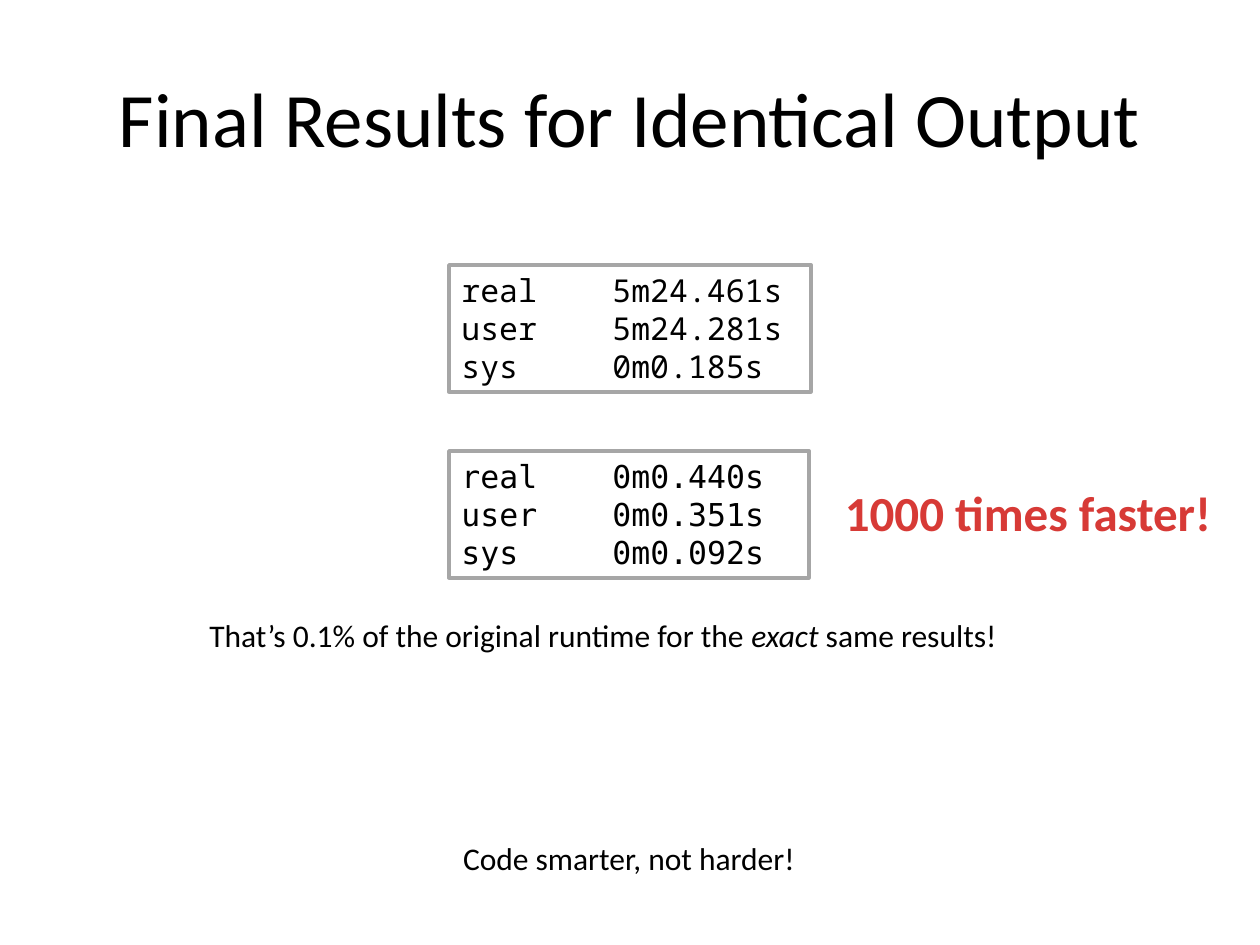
import lxml.etree
import pptx
import pptx.dml.color
import pptx.enum.shapes
import pptx.enum.text
import pptx.oxml.ns
import pptx.util

EMU_PER_PX = 914400 // 126
BODY_FONT = "Calibri"
BLACK, WHITE, GRAY, RED = "000000", "FFFFFF", "A6A6A6", "D73A36"
ALIGN = pptx.enum.text.PP_ALIGN


def px(length):
    return pptx.util.Emu(length * EMU_PER_PX)


def color(hex_string):
    return pptx.dml.color.RGBColor.from_string(hex_string)


def add_text(paragraph, text, font=BODY_FONT, size=18, fill=BLACK, bold=False, italic=False):
    run = paragraph.add_run()
    run.text = text
    run.font.name = font
    run.font.size = pptx.util.Pt(size)
    run.font.bold = bold
    run.font.italic = italic
    run.font.color.rgb = color(fill)


def add_tab_stop(paragraph, position):
    properties = paragraph._p.get_or_add_pPr()
    tab_list = lxml.etree.SubElement(properties, pptx.oxml.ns.qn("a:tabLst"))
    lxml.etree.SubElement(tab_list, pptx.oxml.ns.qn("a:tab"), pos=str(px(position)), algn="l")


class ResultsSlide:
    """Holds the slide and the style shared by its elements."""

    line_color = GRAY
    line_width = pptx.util.Pt(2)
    value_column = 151

    def __init__(self, presentation):
        self.slide = presentation.slides.add_slide(presentation.slide_layouts[5])

    def title(self, text, left, top, width, height):
        shape = self.slide.shapes.title
        shape.left, shape.top, shape.width, shape.height = map(px, (left, top, width, height))
        frame = shape.text_frame
        frame.vertical_anchor = pptx.enum.text.MSO_ANCHOR.MIDDLE
        paragraph = frame.paragraphs[0]
        paragraph.alignment = ALIGN.CENTER
        add_text(paragraph, text, size=44)

    def timing_box(self, timings, font, left, top, width, height):
        shape = self.slide.shapes.add_shape(
            pptx.enum.shapes.MSO_SHAPE.RECTANGLE, *map(px, (left, top, width, height)))
        shape.shadow.inherit = False
        shape.fill.solid()
        shape.fill.fore_color.rgb = color(WHITE)
        shape.line.color.rgb = color(self.line_color)
        shape.line.width = self.line_width
        frame = shape.text_frame
        frame.word_wrap = True
        frame.auto_size = pptx.enum.text.MSO_AUTO_SIZE.SHAPE_TO_FIT_TEXT
        frame.vertical_anchor = pptx.enum.text.MSO_ANCHOR.TOP
        for index, (label, value) in enumerate(timings):
            paragraph = frame.add_paragraph() if index else frame.paragraphs[0]
            paragraph.alignment = ALIGN.LEFT
            add_tab_stop(paragraph, self.value_column)
            add_text(paragraph, f"{label}\t{value}", font=font)

    def caption(self, pieces, left, top, width, height, wrap=False):
        """Add one centred line made of (text, format) pieces."""
        box = self.slide.shapes.add_textbox(*map(px, (left, top, width, height)))
        frame = box.text_frame
        frame.word_wrap = wrap
        frame.auto_size = pptx.enum.text.MSO_AUTO_SIZE.SHAPE_TO_FIT_TEXT
        paragraph = frame.paragraphs[0]
        paragraph.alignment = ALIGN.CENTER
        for text, text_format in pieces:
            add_text(paragraph, text, **text_format)


def main():
    presentation = pptx.Presentation()
    presentation.slide_width = pptx.util.Inches(10)
    presentation.slide_height = pptx.util.Inches(7.5)

    results = ResultsSlide(presentation)
    results.title("Final Results for Identical Output", 63, 38, 1134, 157)

    before = [("real", "5m24.461s"), ("user", "5m24.281s"), ("sys", "0m0.185s")]
    after = [("real", "0m0.440s"), ("user", "0m0.351s"), ("sys", "0m0.092s")]
    results.timing_box(before, "Noto Sans Mono", 449, 265, 362, 127)
    results.timing_box(after, "DejaVu Sans Mono", 449, 451, 360, 127)

    results.caption([("1000 times faster!", {"size": 28, "fill": RED, "bold": True})],
                    824, 476, 408, 72, wrap=True)
    results.caption([("That’s 0.1% of the original runtime for the ", {}),
                     ("exact", {"italic": True}),
                     (" same results!", {})], 191, 610, 824, 51)
    results.caption([("Code smarter, not harder!", {})], 447, 833, 364, 51)

    presentation.save("out.pptx")


if __name__ == "__main__":
    main()
